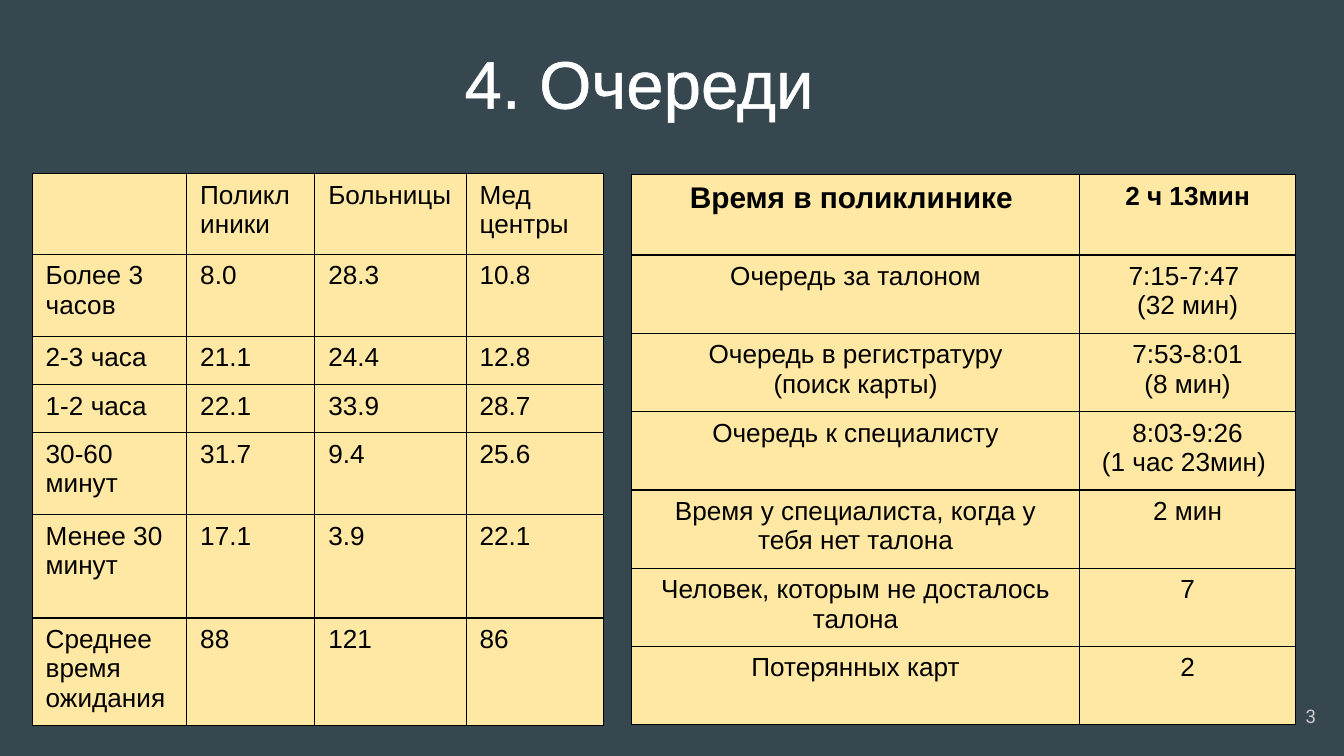
from lxml import etree
from pptx import Presentation
from pptx.dml.color import RGBColor
from pptx.enum import text
from pptx.oxml import ns
from pptx.util import Cm, Pt

SLATE = RGBColor(0x37, 0x47, 0x4F)
CREAM = RGBColor(0xFF, 0xE8, 0xA3)
BLACK = RGBColor(0, 0, 0)
WHITE = RGBColor(0xFF, 0xFF, 0xFF)
GREY = RGBColor(0xCA, 0xCA, 0xCA)

LEFT = text.PP_ALIGN.LEFT
CENTER = text.PP_ALIGN.CENTER
RIGHT = text.PP_ALIGN.RIGHT

WAITING_SHARES = [
    ["", "Поликлиники", "Больницы", "Мед центры"],
    ["Более 3 часов", "8.0", "28.3", "10.8"],
    ["2-3 часа", "21.1", "24.4", "12.8"],
    ["1-2 часа", "22.1", "33.9", "28.7"],
    ["30-60 минут", "31.7", "9.4", "25.6"],
    ["Менее 30 минут", "17.1", "3.9", "22.1"],
    ["Среднее время ожидания", "88", "121", "86"],
]
CLINIC_VISIT = [
    ["Время в поликлинике ", "2 ч 13мин"],
    ["Очередь за талоном", "7:15-7:47 \n(32 мин)"],
    ["Очередь в регистратуру\n(поиск карты)", "7:53-8:01\n(8 мин)"],
    ["Очередь к специалисту", "8:03-9:26\n(1 час 23мин) "],
    ["Время у специалиста, когда у тебя нет талона", "2 мин"],
    ["Человек, которым не досталось талона", "7"],
    ["Потерянных карт", "2"],
]


def add_line(parent, tag, color, width, index):
    """Insert a solid outline element among the children of parent."""
    line = etree.Element(ns.qn(tag), w=str(Pt(width)))
    fill = etree.SubElement(line, ns.qn("a:solidFill"))
    etree.SubElement(fill, ns.qn("a:srgbClr"), val=str(color))
    parent.insert(index, line)


class SlideBuilder:
    font = "Arial"
    size = 14
    border = 0.75

    def __init__(self, slide):
        self.slide = slide

    def background(self, color):
        fill = self.slide.background.fill
        fill.solid()
        fill.fore_color.rgb = color

    def add_text(self, frame, content, color, size=None, font=None, align=LEFT, bold=False):
        """Fill a text frame, one paragraph for each line of content."""
        for number, line in enumerate(content.split("\n")):
            paragraph = frame.add_paragraph() if number else frame.paragraphs[0]
            paragraph.alignment = align
            if not line:
                continue
            run = paragraph.add_run()
            run.text = line
            run.font.name = font or self.font
            run.font.size = Pt(size or self.size)
            run.font.bold = bold
            run.font.color.rgb = color

    def label(self, content, left, top, width, height, color, **style):
        box = self.slide.shapes.add_textbox(Cm(left), Cm(top), Cm(width), Cm(height))
        frame = box.text_frame
        frame.word_wrap = True
        self.add_text(frame, content, color, **style)
        return frame

    def table(self, rows, left, top, widths, heights, align=LEFT, header_sizes=None):
        """Draw a bordered table; header_sizes makes the first row bold."""
        table = self.slide.shapes.add_table(
            len(rows), len(widths), Cm(left), Cm(top), Cm(sum(widths)), Cm(sum(heights))
        ).table
        table.first_row = table.horz_banding = False
        for column, width in zip(table.columns, widths):
            column.width = Cm(width)
        for row, height in zip(table.rows, heights):
            row.height = Cm(height)
        for r, values in enumerate(rows):
            for c, value in enumerate(values):
                cell = table.cell(r, c)
                header = bool(header_sizes) and r == 0
                self.add_text(cell.text_frame, value, BLACK, align=align, bold=header,
                              size=header_sizes[c] if header else None)
                cell.fill.solid()
                cell.fill.fore_color.rgb = CREAM
                properties = cell._tc.get_or_add_tcPr()
                for index, side in enumerate(("a:lnL", "a:lnR", "a:lnT", "a:lnB")):
                    add_line(properties, side, BLACK, self.border, index)


def main():
    deck = Presentation()
    deck.slide_width, deck.slide_height = Cm(25.4), Cm(14.29)
    builder = SlideBuilder(deck.slides.add_slide(deck.slide_layouts[6]))
    builder.background(SLATE)

    page_number = builder.label("3", 23.6, 13, 1.52, 1.09, GREY,
                                size=10, font="Roboto", align=RIGHT)
    page_number.vertical_anchor = text.MSO_ANCHOR.MIDDLE
    page_number.margin_top = page_number.margin_bottom = Cm(0.25)

    builder.table(WAITING_SHARES, 0.61, 3.28, [2.92, 2.42, 2.86, 2.6],
                  [1.53, 1.55, 0.91, 0.91, 1.55, 1.95, 2.04])

    title = builder.label("4. Очереди", 8.53, 0.66, 7.57, 1.8, WHITE, size=36)
    title.auto_size = text.MSO_AUTO_SIZE.SHAPE_TO_FIT_TEXT
    title_run = title.paragraphs[0].runs[0]
    add_line(title_run._r.get_or_add_rPr(), "a:ln", WHITE, 0.8, 0)

    builder.table(CLINIC_VISIT, 11.94, 3.3, [8.46, 4.09], [1.52] + [1.48] * 6,
                  align=CENTER, header_sizes=[16, 14])

    deck.save("out.pptx")


if __name__ == "__main__":
    main()
